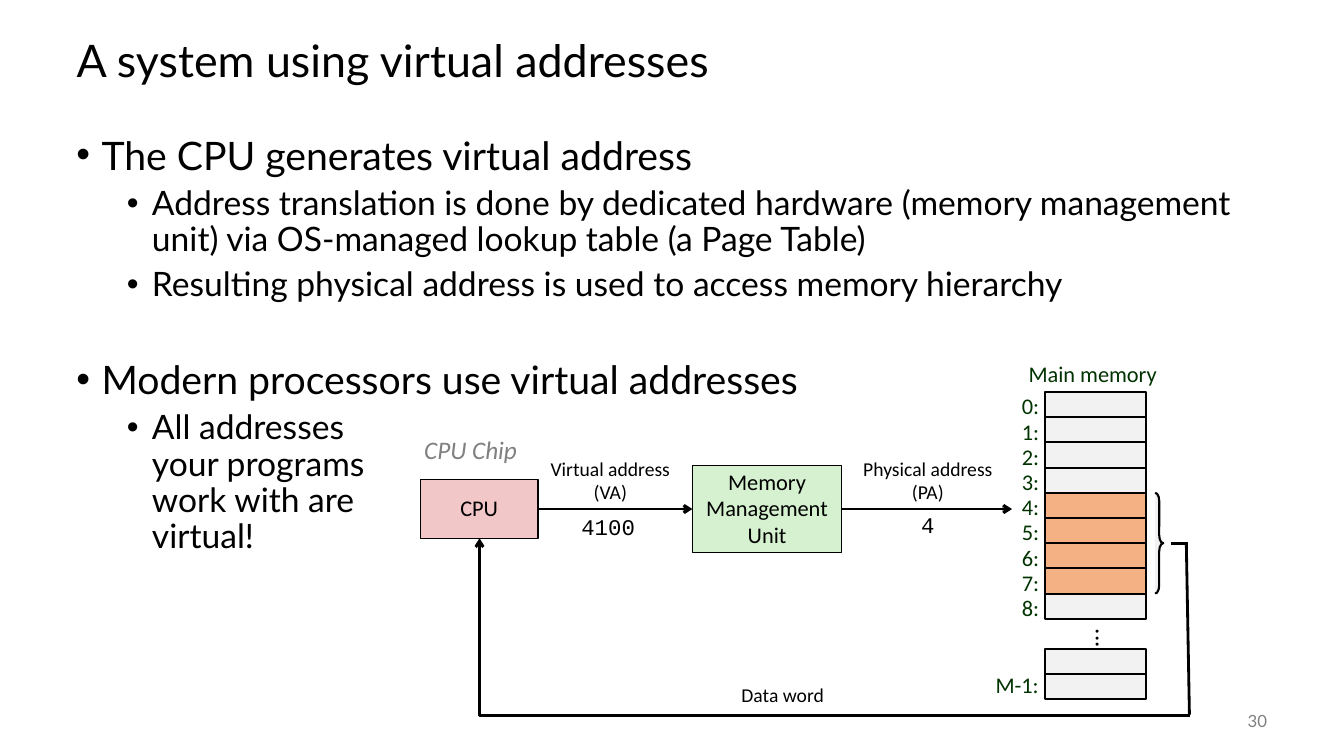
from dataclasses import dataclass

from lxml import etree
from pptx import Presentation
from pptx.dml.color import RGBColor
from pptx.enum.shapes import MSO_CONNECTOR, MSO_SHAPE
from pptx.enum.text import MSO_ANCHOR, MSO_AUTO_SIZE, PP_ALIGN
from pptx.oxml.ns import qn
from pptx.util import Pt

RECT, BRACE = MSO_SHAPE.RECTANGLE, MSO_SHAPE.RIGHT_BRACE
STRAIGHT, ELBOW = MSO_CONNECTOR.STRAIGHT, MSO_CONNECTOR.ELBOW
LEFT, CENTER, RIGHT = PP_ALIGN.LEFT, PP_ALIGN.CENTER, PP_ALIGN.RIGHT
TOP, MIDDLE = MSO_ANCHOR.TOP, MSO_ANCHOR.MIDDLE
NO_FIT = MSO_AUTO_SIZE.NONE
SIDE_LEFT, SIDE_RIGHT = 1, 3

BLACK, GREY, GREEN = "000000", "808080", "003300"
CELL, DATA_CELL = "F2F2F2", "F4B183"
HEADING, LABEL, CODE = "Lato", "Calibri", "Courier New"

# Memory column grid
MEM_X, MEM_Y, CELL_W, CELL_H = 746.6, 280, 72, 18
LAST_Y = 463.6
DATA_WORD = range(4, 8)


@dataclass
class Style:
    size: float
    font: str = LABEL
    color: str = BLACK
    align: PP_ALIGN = LEFT
    spacing: float = 1.0
    italic: bool = False


@dataclass
class Label:
    text: str
    x: float
    y: float
    w: float
    h: float
    style: Style
    anchor: MSO_ANCHOR = TOP


@dataclass
class Bullet:
    text: str
    level: int
    before: float


MEMORY = Style(16, color=GREEN, spacing=0.88)
MEMORY_TITLE = Style(16, color=GREEN, align=CENTER, spacing=0.88)
UNIT = Style(16, align=CENTER, spacing=0.98)
SIGNAL = Style(14, align=CENTER, spacing=0.98)
VALUE = Style(16, font=CODE)

BULLETS = [
    Bullet("The CPU generates virtual address", 0, 0),
    Bullet("Address translation is done by dedicated hardware (memory management "
           "unit) via OS-managed lookup table (a Page Table)", 1, 6),
    Bullet("Resulting physical address is used to access memory hierarchy", 1, 6),
    Bullet("Modern processors use virtual addresses", 0, 37),
    Bullet("All addresses\vyour programs\vwork with are\vvirtual!", 1, 6),
]

LABELS = [
    *(Label(f"{i}:", 722.9, MEM_Y - 0.7 + i * CELL_H, 26.6, 23.8, MEMORY)
      for i in range(9)),
    Label("M-1:", 704, 478, 46, 23.8, MEMORY),
    Label("Main memory", 725.8, 256.3, 109.4, 23.8, MEMORY_TITLE),
    Label("Virtual address\n(VA)", 384.5, 323.3, 103, 41, SIGNAL, MIDDLE),
    Label("Physical address\n(PA)", 607.7, 323.3, 110.2, 41, SIGNAL, MIDDLE),
    Label("Data word", 521.3, 485.3, 75.6, 23.8, SIGNAL, MIDDLE),
    Label("CPU Chip", 295.9, 306.7, 83.5, 28.8,
          Style(18, color=GREY, italic=True)),
    Label("4100", 408.2, 362.9, 53.3, 26.6, VALUE),
    Label("4", 650.9, 361.4, 24.5, 26.6, VALUE),
    Label("30", 840.2, 500.4, 72, 28.8,
          Style(12, font=HEADING, color=GREY, align=RIGHT), MIDDLE),
]


def rgb(value: str) -> RGBColor:
    return RGBColor.from_string(value)


def format_paragraph(p, style: Style) -> None:
    p.alignment = style.align
    p.line_spacing = style.spacing
    for r in p.runs:
        r.font.size = Pt(style.size)
        r.font.name = style.font
        r.font.italic = style.italic
        r.font.color.rgb = rgb(style.color)


def set_text(sp, text: str, style: Style, anchor: MSO_ANCHOR, wrap: bool = False):
    tf = sp.text_frame
    tf.text = text
    tf.word_wrap = wrap
    tf.auto_size = NO_FIT
    tf.vertical_anchor = anchor
    for p in tf.paragraphs:
        format_paragraph(p, style)
    return tf


def add_label(s, label: Label):
    sp = s.shapes.add_textbox(Pt(label.x), Pt(label.y), Pt(label.w), Pt(label.h))
    # Right-aligned text needs the full box width
    return set_text(sp, label.text, label.style, label.anchor,
                    wrap=label.style.align == RIGHT)


def add_block(s, kind: MSO_SHAPE, x: float, y: float, w: float, h: float,
              fill: str, line: float):
    sp = s.shapes.add_shape(kind, Pt(x), Pt(y), Pt(w), Pt(h))
    sp.shadow.inherit = False
    sp.fill.solid()
    sp.fill.fore_color.rgb = rgb(fill)
    sp.line.color.rgb = rgb(BLACK)
    sp.line.width = Pt(line)
    return sp


def add_wire(s, x1: float, y1: float, x2: float, y2: float,
             arrow: bool = False, kind: MSO_CONNECTOR = STRAIGHT):
    c = s.shapes.add_connector(kind, Pt(x1), Pt(y1), Pt(x2), Pt(y2))
    c.line.color.rgb = rgb(BLACK)
    c.line.width = Pt(2)
    if arrow:
        etree.SubElement(c.line._get_or_add_ln(), qn("a:tailEnd"), type="arrow")
    etree.SubElement(c._element.spPr, qn("a:effectLst"))
    return c


def add_bullets(s, bullets: list[Bullet]) -> None:
    sp = s.shapes.add_textbox(Pt(47.5), Pt(90), Pt(864), Pt(352.8))
    tf = sp.text_frame
    tf.word_wrap = True
    for i, bullet in enumerate(bullets):
        p = tf.add_paragraph() if i else tf.paragraphs[0]
        p.text = bullet.text
        p.level = bullet.level
        p.space_before = Pt(bullet.before)
        size, spacing = ((28, 1.0), (24, 0.9))[bullet.level]
        format_paragraph(p, Style(size, font=HEADING, spacing=spacing))
        pPr = p._p.get_or_add_pPr()
        pPr.set("marL", str(Pt(18 + 36 * bullet.level)))
        pPr.set("indent", str(Pt(-18)))
        etree.SubElement(pPr, qn("a:buFont"), typeface="Arial")
        etree.SubElement(pPr, qn("a:buChar"), char="•")


def main() -> None:
    prs = Presentation()
    prs.slide_width, prs.slide_height = Pt(960), Pt(540)
    s = prs.slides.add_slide(prs.slide_layouts[5])

    # Title and bullets
    title = s.shapes.title
    title.left, title.top, title.width, title.height = Pt(47.5), Pt(18), Pt(864), Pt(54)
    set_text(title, "A system using virtual addresses",
             Style(32, font=HEADING, spacing=0.9), MIDDLE, wrap=True)
    add_bullets(s, BULLETS)

    # Main memory
    for i in range(9):
        add_block(s, RECT, MEM_X, MEM_Y + i * CELL_H, CELL_W, CELL_H,
                  DATA_CELL if i in DATA_WORD else CELL, 1.5)
    for i in range(2):
        add_block(s, RECT, MEM_X, LAST_Y + i * CELL_H, CELL_W, CELL_H, CELL, 1.5)
    brace = add_block(s, BRACE, 825.1, MEM_Y + DATA_WORD[0] * CELL_H, 5.8,
                      len(DATA_WORD) * CELL_H, CELL, 1.5)
    brace.adjustments[0] = 1.0
    dots = add_label(s, Label("...", 753.1, 442, 72, 18,
                              Style(18, align=CENTER, spacing=0.98), MIDDLE))
    dots._txBody.bodyPr.set("vert", "eaVert")

    # Processor and address translation
    cpu = add_block(s, RECT, 300.2, 342.7, 84.2, 41.8, "F1C7C7", 1)
    set_text(cpu, "CPU", UNIT, MIDDLE)
    mmu = add_block(s, RECT, 494.6, 332.6, 106.6, 62, "D5F1CF", 1)
    set_text(mmu, "Memory\nManagement\nUnit", UNIT, MIDDLE)

    # Address wires
    virtual = add_wire(s, 384.4, 363.6, 494.6, 363.6, arrow=True)
    virtual.begin_connect(cpu, SIDE_RIGHT)
    virtual.end_connect(mmu, SIDE_LEFT)
    physical = add_wire(s, 601.2, 363.6, 722.9, 363.6, arrow=True)
    physical.begin_connect(mmu, SIDE_RIGHT)

    # Data word's way back to the processor
    add_wire(s, 836.6, 388, 848.9, 388)
    add_wire(s, 847.4, 388.5, 849.6, 510.5)
    back = add_wire(s, 342.5, 384.5, 850.3, 511.2, arrow=True, kind=ELBOW)
    spPr = back._element.spPr
    spPr.find(qn("a:xfrm")).set("rot", "10800000")
    spPr.find(qn("a:prstGeom")).set("prst", "bentConnector2")

    for label in LABELS:
        add_label(s, label)
    prs.save("out.pptx")


if __name__ == "__main__":
    main()
